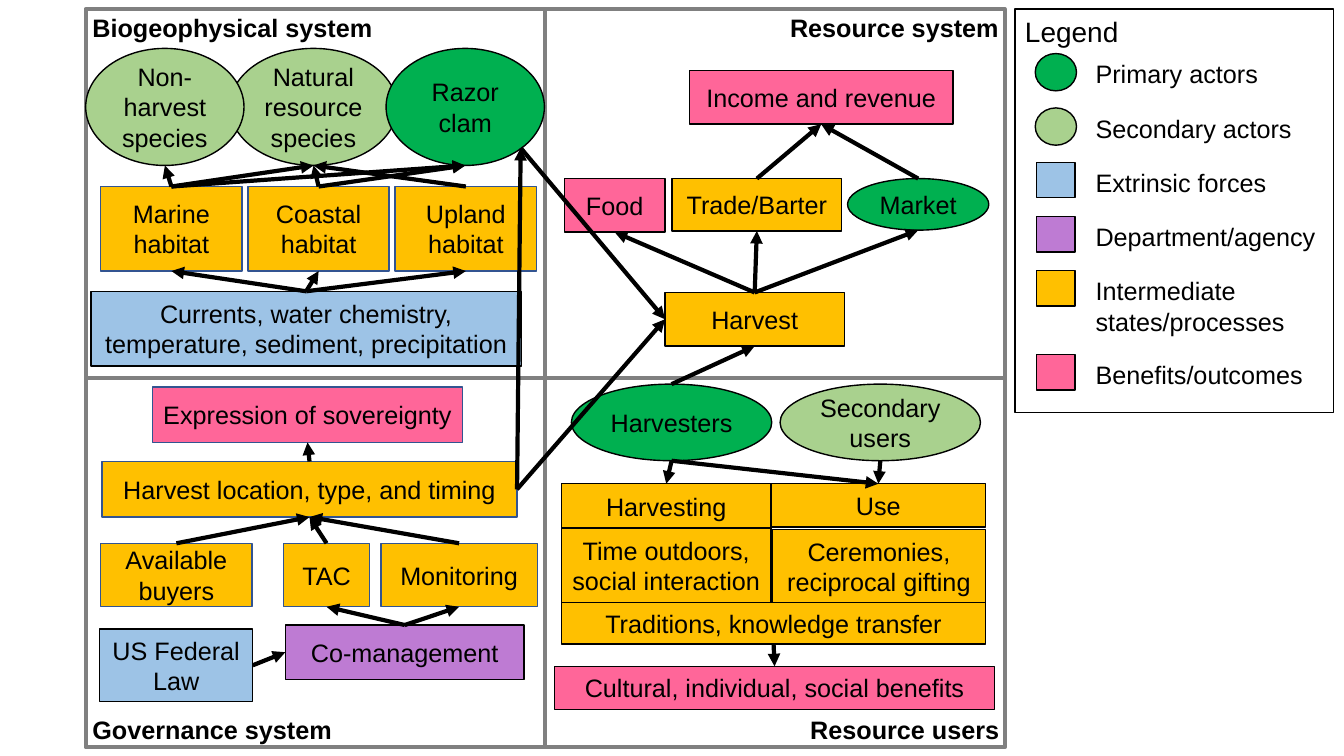
from pptx import Presentation
from pptx.dml.color import RGBColor
from pptx.enum.shapes import MSO_CONNECTOR, MSO_SHAPE
from pptx.enum.text import MSO_ANCHOR, MSO_AUTO_SIZE, PP_ALIGN
from pptx.oxml.ns import qn
from pptx.util import Cm, Pt
from lxml import etree

RECT, OVAL = MSO_SHAPE.RECTANGLE, MSO_SHAPE.OVAL
STRAIGHT = MSO_CONNECTOR.STRAIGHT
TOP_ANCHOR, MIDDLE = MSO_ANCHOR.TOP, MSO_ANCHOR.MIDDLE
GROW = MSO_AUTO_SIZE.SHAPE_TO_FIT_TEXT
LEFT_ALIGN, CENTER = PP_ALIGN.LEFT, PP_ALIGN.CENTER

BLACK = RGBColor(0x00, 0x00, 0x00)
WHITE = RGBColor(0xFF, 0xFF, 0xFF)
GRAY = RGBColor(0x80, 0x80, 0x80)
NAVY = RGBColor(0x32, 0x54, 0x91)
PRIMARY = RGBColor(0x00, 0xB0, 0x50)
SECONDARY = RGBColor(0xA9, 0xD1, 0x8E)
EXTRINSIC = RGBColor(0x9D, 0xC3, 0xE6)
AGENCY = RGBColor(0xBE, 0x7B, 0xD3)
PROCESS = RGBColor(0xFF, 0xC0, 0x00)
BENEFIT = RGBColor(0xFF, 0x66, 0x99)

# Anchor points as fractions of a shape's width and height
TOP, BOTTOM = (0.5, 0), (0.5, 1)
LEFT, RIGHT = (0, 0.5), (1, 0.5)
LOWER_RIGHT = (0.85, 0.85)


class Diagram:
    """Draws on one page in a shared style; lengths are centimetres."""

    font_name = "Arial"

    def __init__(self, page):
        self.page = page

    def set_text(self, frame, text, size, bold=False, align=LEFT_ALIGN):
        frame.word_wrap = True
        paragraph = frame.paragraphs[0]
        paragraph.text = text
        paragraph.alignment = align
        font = paragraph.font
        font.name, font.size, font.bold = self.font_name, Pt(size), bold
        font.color.rgb = BLACK

    def shape(self, kind, left, top, width, height, fill, line=BLACK, weight=1):
        shape = self.page.shapes.add_shape(
            kind, Cm(left), Cm(top), Cm(width), Cm(height))
        shape.shadow.inherit = False
        if fill is None:
            shape.fill.background()
        else:
            shape.fill.solid()
            shape.fill.fore_color.rgb = fill
        shape.line.color.rgb = line
        shape.line.width = Pt(weight)
        return shape

    def node(self, text, kind, left, top, width, height, fill, line=BLACK):
        shape = self.shape(kind, left, top, width, height, fill, line)
        shape.text_frame.vertical_anchor = MIDDLE
        self.set_text(shape.text_frame, text, 18, align=CENTER)
        return shape

    def label(self, text, left, top, width, bold=False):
        box = self.page.shapes.add_textbox(Cm(left), Cm(top), Cm(width), Cm(1.02))
        self.set_text(box.text_frame, text, 18, bold)
        box.text_frame.auto_size = GROW

    def arrow(self, source, source_side, target, target_side):
        ends = []
        for shape, (across, down) in ((source, source_side), (target, target_side)):
            ends += [int(shape.left + across * shape.width),
                     int(shape.top + down * shape.height)]
        connector = self.page.shapes.add_connector(STRAIGHT, *ends)
        connector.line.color.rgb = BLACK
        connector.line.width = Pt(3)
        properties = connector.element.spPr
        etree.SubElement(properties.find(qn("a:ln")), qn("a:tailEnd"), type="triangle")
        etree.SubElement(properties, qn("a:effectLst"))


def main():
    deck = Presentation()
    deck.slide_width, deck.slide_height = Cm(33.87), Cm(19.05)
    diagram = Diagram(deck.slides.add_slide(deck.slide_layouts[6]))
    node, arrow = diagram.node, diagram.arrow

    # Four quadrants and their titles
    for row in range(2):
        for column in range(2):
            diagram.shape(RECT, 2.16 + 11.58 * column, 0.23 + 9.3 * row,
                          11.58, 9.3, None, GRAY, 3)
    for title, left, top, width in (
            ("Biogeophysical system", 2.08, 0.18, 8.71),
            ("Resource system", 19.66, 0.18, 5.79),
            ("Governance system", 2.08, 17.88, 8.71),
            ("Resource users", 20.17, 17.88, 5.46)):
        diagram.label(title, left, top, width, bold=True)

    # Biogeophysical system
    natural = node("Natural resource species", OVAL, 5.79, 1.22, 4.22, 2.95, SECONDARY)
    other = node("Non-harvest species", OVAL, 2.16, 1.22, 3.99, 2.95, SECONDARY)
    clam = node("Razor clam", OVAL, 9.73, 1.22, 3.99, 2.95, PRIMARY)
    currents = node("Currents, water chemistry, temperature, sediment, precipitation",
                    RECT, 2.29, 7.34, 10.85, 1.88, EXTRINSIC)
    marine, coastal, upland = [
        node(f"{zone} habitat", RECT, 2.54 + 3.71 * index, 4.7, 3.56, 2.13, PROCESS, NAVY)
        for index, zone in enumerate(("Marine", "Coastal", "Upland"))]

    # Resource system
    income = node("Income and revenue", RECT, 17.37, 1.78, 6.65, 1.35, BENEFIT)
    food = node("Food", RECT, 14.22, 4.5, 2.54, 1.35, BENEFIT)
    trade = node("Trade/Barter", RECT, 16.94, 4.5, 4.27, 1.32, PROCESS)
    market = node("Market", OVAL, 21.36, 4.5, 3.56, 1.3, PRIMARY)
    harvest = node("Harvest", RECT, 16.76, 7.37, 4.52, 1.35, PROCESS)

    # Resource users
    users = node("Secondary users", OVAL, 19.66, 9.68, 5.05, 1.93, SECONDARY)
    harvesters = node("Harvesters", OVAL, 14.4, 9.68, 5.05, 1.93, PRIMARY)
    node("Time outdoors, social interaction", RECT, 14.15, 13.31, 5.28, 1.88, PROCESS)
    node("Ceremonies, reciprocal gifting", RECT, 19.46, 13.34, 5.38, 1.85, PROCESS)
    traditions = node("Traditions, knowledge transfer",
                      RECT, 14.15, 15.19, 10.69, 1.04, PROCESS)
    harvesting = node("Harvesting", RECT, 14.15, 12.19, 5.28, 1.12, PROCESS)
    use = node("Use", RECT, 19.43, 12.19, 5.41, 1.09, PROCESS)
    benefits = node("Cultural, individual, social benefits",
                    RECT, 13.97, 16.79, 11.1, 1.09, BENEFIT)

    # Governance system
    law = node("US Federal Law", RECT, 2.51, 15.85, 3.86, 1.83, EXTRINSIC)
    management = node("Co-management", RECT, 7.19, 15.75, 6.02, 1.37, AGENCY)
    monitoring = node("Monitoring", RECT, 9.6, 13.69, 3.94, 1.6, PROCESS, NAVY)
    tac = node("TAC", RECT, 7.14, 13.69, 2.18, 1.6, PROCESS, NAVY)
    buyers = node("Available buyers", RECT, 2.54, 13.69, 3.81, 1.6, PROCESS, NAVY)
    rules = node("Harvest location, type, and timing",
                 RECT, 2.57, 11.63, 10.46, 1.4, PROCESS, NAVY)
    sovereignty = node("Expression of sovereignty",
                       RECT, 3.84, 9.75, 7.82, 1.4, BENEFIT, NAVY)

    # Upward arrows, from the top of one shape to the bottom of another
    for source, targets in (
            (marine, (other, clam, natural)), (coastal, (clam, natural)),
            (upland, (natural,)), (currents, (coastal, marine, upland)),
            (harvest, (food, trade, market)), (trade, (income,)),
            (market, (income,)), (harvesters, (harvest,)),
            (management, (tac, monitoring)), (monitoring, (rules,)),
            (tac, (rules,)), (buyers, (rules,)), (rules, (sovereignty,))):
        for target in targets:
            arrow(source, TOP, target, BOTTOM)

    # Downward arrows
    for source, target in ((harvesters, harvesting), (harvesters, use),
                           (users, use), (traditions, benefits)):
        arrow(source, BOTTOM, target, TOP)

    # Sideways arrows and links between quadrants
    arrow(law, RIGHT, management, LEFT)
    arrow(clam, LOWER_RIGHT, harvest, LEFT)
    arrow(rules, RIGHT, harvest, LEFT)
    arrow(rules, RIGHT, clam, LOWER_RIGHT)

    # Legend
    legend = diagram.shape(RECT, 25.58, 0.23, 8.03, 10.16, WHITE)
    legend.text_frame.vertical_anchor = TOP_ANCHOR
    diagram.set_text(legend.text_frame, "Legend", 20)
    for text, kind, top, fill in (
            ("Primary actors", OVAL, 1.35, PRIMARY),
            ("Secondary actors", OVAL, 2.72, SECONDARY),
            ("Extrinsic forces", RECT, 4.09, EXTRINSIC),
            ("Department/agency", RECT, 5.46, AGENCY),
            ("Intermediate states/processes", RECT, 6.82, PROCESS),
            ("Benefits/outcomes", RECT, 8.94, BENEFIT)):
        width, height = (1.04, 0.94) if kind == OVAL else (0.97, 0.89)
        diagram.shape(kind, 26.61 - width / 2, top, width, height, fill)
        diagram.label(text, 27.36, top, 6.73)

    deck.save("out.pptx")


if __name__ == "__main__":
    main()
